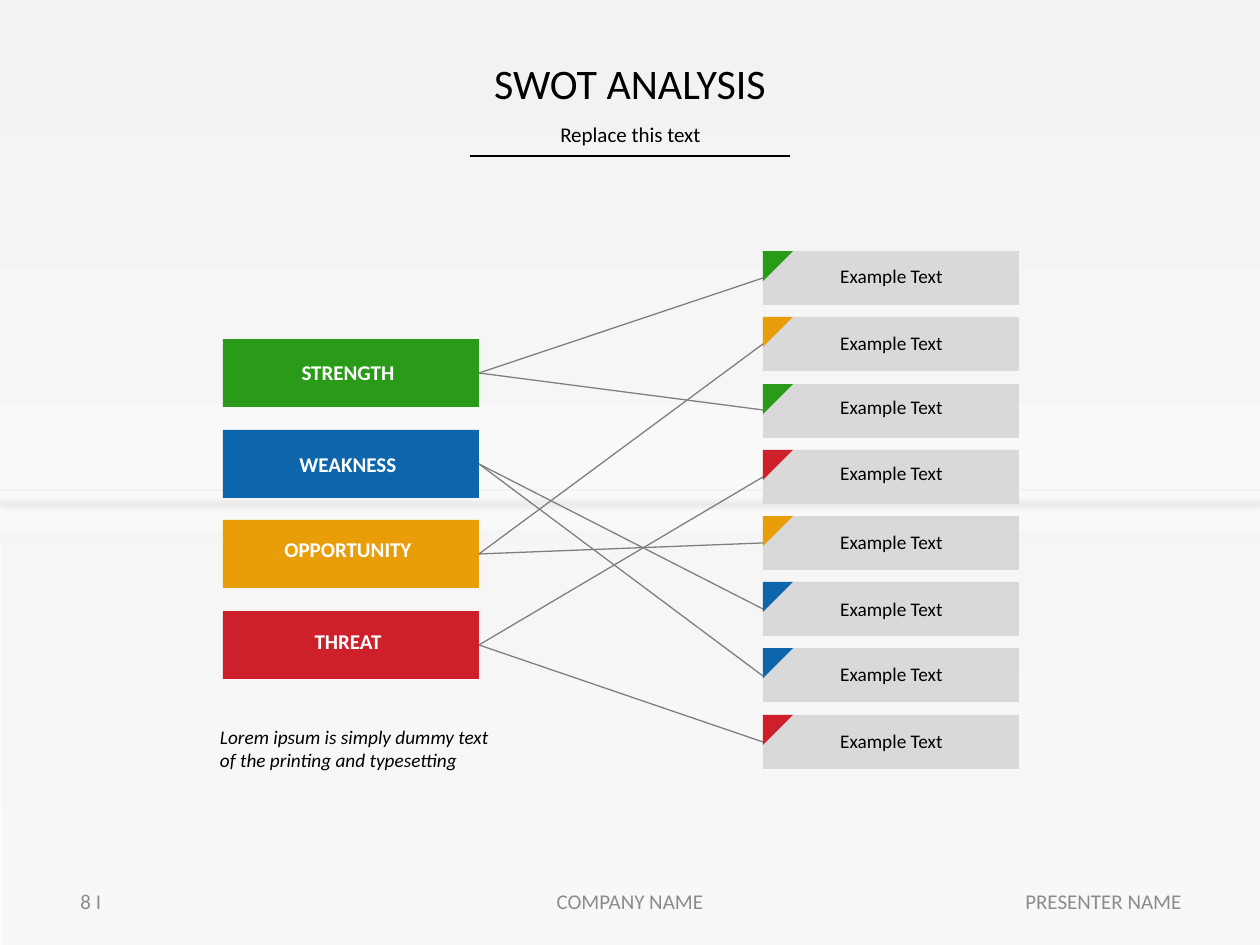
from lxml.etree import SubElement
from pptx import Presentation
from pptx.dml.color import RGBColor
from pptx.enum.shapes import MSO_CONNECTOR as Connector, MSO_SHAPE as Shape
from pptx.enum.text import MSO_ANCHOR as Anchor, PP_ALIGN as Align
from pptx.oxml.ns import qn
from pptx.util import Emu, Pt

SCALE = 914400 // 126
COLORS = {
    "green": "2A9B18", "blue": "0D65AC", "amber": "E99E09", "red": "CE202A",
    "card": "D9D9D9", "link": "7F7F7F", "footer": "8C8C8C",
    "pale": "F2F2F2", "white": "FFFFFF", "black": "000000",
}


def px(length):
    """Turn pixels into EMU."""
    return Emu(round(length) * SCALE)


def rgb(name):
    """Look up a named colour."""
    return RGBColor.from_string(COLORS[name])


class Sketch:
    """Holds the style and the current slide."""

    font = "Calibri"

    def __init__(self, page):
        self.shapes = page.shapes

    def shape(self, kind, left, top, width, height, color, rotation=0):
        """Add a plain filled shape."""
        box = self.shapes.add_shape(kind, px(left), px(top), px(width), px(height))
        box.shadow.inherit = False
        box.rotation = rotation
        box.line.fill.background()
        box.fill.solid()
        box.fill.fore_color.rgb = rgb(color)
        return box

    def line(self, start, end, color, width):
        """Add a straight line and return it with its empty effect list."""
        link = self.shapes.add_connector(
            Connector.STRAIGHT, *(px(value) for value in (*start, *end)))
        link.line.color.rgb = rgb(color)
        link.line.width = Pt(width)
        return SubElement(link._element.spPr, qn("a:effectLst"))

    def text(self, words, left, top, width, height, size, color="black",
             align=Align.CENTER, anchor=Anchor.TOP, spacing=None,
             bold=False, italic=False, inset=None, wrap=True):
        """Add a text box with one paragraph."""
        box = self.shapes.add_textbox(px(left), px(top), px(width), px(height))
        frame = box.text_frame
        frame.word_wrap = wrap
        frame.vertical_anchor = anchor
        if inset is not None:
            frame.margin_left = frame.margin_right = px(inset)
            frame.margin_top = frame.margin_bottom = px(inset)
        para = frame.paragraphs[0]
        para.text = words
        para.alignment = align
        para.line_spacing = spacing
        font = para.font
        font.name, font.size = self.font, Pt(size)
        font.bold, font.italic = bold, italic
        font.color.rgb = rgb(color)


def add_backdrop(sketch):
    """Draw the soft gradient wall, the floor and the edge between them."""
    wall = sketch.shape(Shape.RECTANGLE, 0, 0, 1260, 945, "pale")
    wall.fill.gradient()
    wall.fill.gradient_angle = 270
    for stop, color in zip(wall.fill.gradient_stops, ("pale", "white")):
        stop.color.rgb = rgb(color)
    floor = sketch.shape(Shape.RECTANGLE, 1, 530, 1259, 415, "pale")
    tint = floor._element.spPr.find(qn("a:solidFill"))[0]
    SubElement(tint, qn("a:alpha"), val="49000")
    effects = sketch.line((0, 490), (1260, 490), "pale", 1)
    shadow = SubElement(effects, qn("a:outerShdw"), blurRad=str(Pt(3.1)),
                        dist=str(Pt(7.4)), dir="5400000")
    shade = SubElement(shadow, qn("a:srgbClr"), val=COLORS["black"])
    SubElement(shade, qn("a:alpha"), val="16000")


def add_frame(sketch):
    """Write the heading and the footer."""
    sketch.line((470, 156), (790, 156), "black", 1)
    sketch.text("Replace this text", 87, 120, 1087, 34, 12, spacing=0.8)
    sketch.text("SWOT ANALYSIS", 87, 60, 1086, 54, 24,
                anchor=Anchor.MIDDLE, spacing=0.8)
    for words, left, width, align in (
            ("8 I", 68, 284, Align.LEFT),
            ("PRESENTER NAME", 910, 284, Align.RIGHT),
            ("COMPANY NAME", 417, 426, Align.CENTER)):
        sketch.text(words, left, 876, width, 50, 12, "footer", align, Anchor.MIDDLE)


def add_swot(sketch):
    """Draw the four themes, the eight cards and the links between them."""
    theme_left, theme_height, card_left, card_height = 223, 68, 763, 54
    width, label_center, fold = 256, 348, 30
    themes = (  # name, colour, label width, label top
        ("STRENGTH", "green", 120, 353), ("WEAKNESS", "blue", 124, 445),
        ("OPPORTUNITY", "amber", 154, 530), ("THREAT", "red", 94, 622))
    cards = (  # colour, label top
        ("green", 258), ("amber", 325), ("green", 389), ("red", 455),
        ("amber", 524), ("blue", 591), ("blue", 656), ("red", 723))
    theme_tops = [339 + 90.75 * row for row in range(len(themes))]
    card_tops = [251 + 66.25 * row for row in range(len(cards))]

    sources = {}
    for (_, color, _, _), top in zip(themes, theme_tops):
        sketch.shape(Shape.RECTANGLE, theme_left, top, width, theme_height, color)
        sources[color] = (theme_left + width, top + theme_height / 2)
    for top in card_tops:
        sketch.shape(Shape.RECTANGLE, card_left, top, width, card_height, "card")
    for (color, _), top in zip(cards, card_tops):
        sketch.shape(Shape.RIGHT_TRIANGLE, card_left, top, fold, fold, color, 90)
    for (color, _), top in zip(cards, card_tops):
        sketch.line(sources[color], (card_left, top + card_height / 2), "link", 0.75)
    for _, top in cards:
        sketch.text("Example Text", 826, top, 131, 36, 11, wrap=False)
    for name, _, label_width, top in themes:
        sketch.text(name, label_center - label_width / 2, top, label_width, 38,
                    12, "white", bold=True, wrap=False)


def main():
    """Build the slide and save it."""
    deck = Presentation()
    deck.slide_width, deck.slide_height = px(1260), px(945)
    sketch = Sketch(deck.slides.add_slide(deck.slide_layouts[6]))
    add_backdrop(sketch)
    add_frame(sketch)
    add_swot(sketch)
    sketch.text("Lorem ipsum is simply dummy text of the printing and typesetting",
                215, 720, 292, 67, 11, align=Align.LEFT, italic=True, inset=5)
    deck.save("out.pptx")


main()
